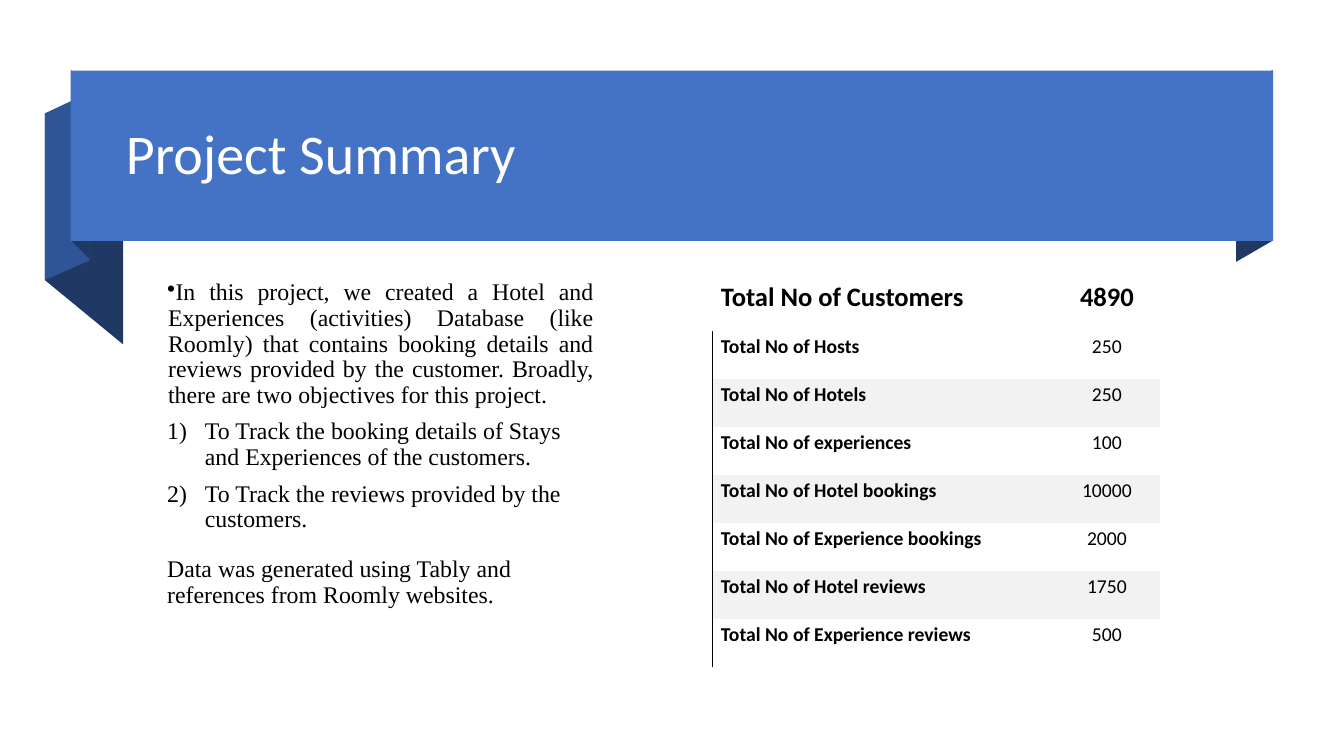
"""Build the project summary slide with its ribbon banner, goals and totals table."""
from dataclasses import dataclass

from lxml import etree
from pptx import Presentation
from pptx.dml.color import RGBColor
from pptx.enum.shapes import MSO_SHAPE
from pptx.enum.text import MSO_ANCHOR, MSO_AUTO_SIZE, PP_ALIGN
from pptx.oxml.ns import qn
from pptx.util import Pt

RECTANGLE = MSO_SHAPE.RECTANGLE
TOP, MIDDLE, BOTTOM = MSO_ANCHOR.TOP, MSO_ANCHOR.MIDDLE, MSO_ANCHOR.BOTTOM
NO_FIT = MSO_AUTO_SIZE.NONE
LEFT, CENTER, JUSTIFY = PP_ALIGN.LEFT, PP_ALIGN.CENTER, PP_ALIGN.JUSTIFY
TITLE_ONLY = 5
PLAIN_TABLE = "{2D5ABB26-0587-4C30-8999-92F81FD0307C}"


@dataclass(frozen=True)
class Theme:
    banner: str = "4472C4"
    side: str = "2F5597"
    shade: str = "203864"
    band: str = "F2F2F2"
    light: str = "FFFFFF"
    ink: str = "000000"
    sans: str = "Calibri"
    serif: str = "Times New Roman"
    title_size: float = 40
    body_size: float = 17
    header_size: float = 19
    cell_size: float = 14


def write(para, text, *, font, size, color, bold=False, align=LEFT, line=0.9, after=0):
    para.alignment = align
    para.line_spacing = line
    para.space_before = Pt(0)
    para.space_after = Pt(after)
    span = para.add_run()
    span.text = text
    span.font.name = font
    span.font.size = Pt(size)
    span.font.bold = bold
    span.font.color.rgb = RGBColor.from_string(color)


def add_bullet(para, indent, tag, **attributes):
    properties = para._p.get_or_add_pPr()
    properties.set("marL", str(Pt(indent)))
    properties.set("indent", str(Pt(-indent)))
    etree.SubElement(properties, qn(tag), attributes)


class SlideBuilder:
    def __init__(self, deck, theme):
        self.theme = theme
        self.page = deck.slides.add_slide(deck.slide_layouts[TITLE_ONLY])

    def paint(self, shape, color):
        shape.shadow.inherit = False
        shape.fill.solid()
        shape.fill.fore_color.rgb = RGBColor.from_string(color)
        shape.line.fill.background()

    def fold(self, left, left_top, right, right_top, height, color):
        outline = self.page.shapes.build_freeform(left, left_top, scale=Pt(1))
        outline.add_line_segments([
            (right, right_top),
            (right, right_top + height),
            (left, left_top + height),
        ])
        self.paint(outline.convert_to_shape(), color)

    def banner(self, left, top, width, height):
        box = self.page.shapes.add_shape(RECTANGLE, Pt(left), Pt(top), Pt(width), Pt(height))
        self.paint(box, self.theme.banner)

    def title(self, text, left, top, width, height):
        box = self.page.shapes.title
        box.left, box.top, box.width, box.height = Pt(left), Pt(top), Pt(width), Pt(height)
        box.element.getparent().append(box.element)
        frame = box.text_frame
        frame.auto_size = NO_FIT
        frame.word_wrap = True
        frame.vertical_anchor = MIDDLE
        write(frame.paragraphs[0], text, font=self.theme.sans,
              size=self.theme.title_size, color=self.theme.light)

    def body(self, intro, goals, closing, left, top, width, height):
        box = self.page.shapes.add_textbox(Pt(left), Pt(top), Pt(width), Pt(height))
        frame = box.text_frame
        frame.word_wrap = True
        style = {"font": self.theme.serif, "size": self.theme.body_size, "color": self.theme.ink}
        para = frame.paragraphs[0]
        write(para, intro, align=JUSTIFY, after=7.6, **style)
        add_bullet(para, 0.7, "a:buChar", char="•")
        for goal in goals:
            para = frame.add_paragraph()
            write(para, goal, after=17.4 if goal == goals[-1] else 7.6, **style)
            add_bullet(para, 27, "a:buAutoNum", type="arabicParenR")
        write(frame.add_paragraph(), closing, **style)

    def left_border(self, cell):
        border = etree.Element(qn("a:lnL"), w=str(Pt(0.75)))
        fill = etree.SubElement(border, qn("a:solidFill"))
        etree.SubElement(fill, qn("a:srgbClr"), val=self.theme.ink)
        cell._tc.get_or_add_tcPr().insert(0, border)

    def cell(self, cell, text, row, column):
        header = row == 0
        cell.margin_left, cell.margin_top = Pt(5.8), Pt(1.4)
        cell.margin_right, cell.margin_bottom = Pt(6.5), Pt(12.2)
        cell.vertical_anchor = BOTTOM if header else TOP
        if row and row % 2 == 0:
            cell.fill.solid()
            cell.fill.fore_color.rgb = RGBColor.from_string(self.theme.band)
        else:
            cell.fill.background()
        if column == 0 and not header:
            self.left_border(cell)
        write(cell.text_frame.paragraphs[0], text, font=self.theme.sans,
              size=self.theme.header_size if header else self.theme.cell_size,
              color=self.theme.ink, bold=header or column == 0,
              align=CENTER if column else LEFT, line=1.06)

    def table(self, rows, left, top, widths, header_height, row_height):
        heights = [header_height] + [row_height] * (len(rows) - 1)
        frame = self.page.shapes.add_table(len(rows), len(widths), Pt(left), Pt(top),
                                           Pt(sum(widths)), Pt(sum(heights)))
        next(frame.element.iter(qn("a:tableStyleId"))).text = PLAIN_TABLE
        table = frame.table
        table.first_row = table.horz_banding = False
        for column, width in zip(table.columns, widths):
            column.width = Pt(width)
        for number, (values, height) in enumerate(zip(rows, heights)):
            table.rows[number].height = Pt(height)
            for column, text in enumerate(values):
                self.cell(table.cell(number, column), text, number, column)


def main():
    deck = Presentation()
    deck.slide_width, deck.slide_height = Pt(960), Pt(540)
    theme = Theme()
    slide = SlideBuilder(deck, theme)

    slide.fold(883.4, 65.5, 909.4, 50.4, 121.3, theme.shade)
    slide.fold(32.4, 80.6, 87.8, 126, 119.6, theme.shade)
    slide.fold(32.4, 80.6, 64.1, 66.2, 119.6, theme.side)
    slide.fold(51.1, 50.4, 64.1, 64.1, 121.3, theme.shade)
    slide.banner(50.4, 50.4, 859, 121.7)
    slide.title("Project Summary", 82.8, 59.8, 811.4, 104.4)

    slide.body(
        "In this project, we created a Hotel and Experiences (activities) Database "
        "(like Roomly) that contains booking details and reviews provided by the "
        "customer. Broadly, there are two objectives for this project.",
        ["To Track the booking details of Stays and Experiences of the customers.",
         "To Track the reviews provided by the customers."],
        "Data was generated using Tably and references from Roomly websites.",
        112.3, 196.6, 319, 280.8)

    totals = [
        ("Customers", "4890"),
        ("Hosts", "250"),
        ("Hotels", "250"),
        ("experiences", "100"),
        ("Hotel bookings", "10000"),
        ("Experience bookings", "2000"),
        ("Hotel reviews", "1750"),
        ("Experience reviews", "500"),
    ]
    slide.table([(f"Total No of {name}", count) for name, count in totals],
                509.2, 196.6, [244, 75.7], 39.9, 34.3)
    deck.save("out.pptx")


if __name__ == "__main__":
    main()
